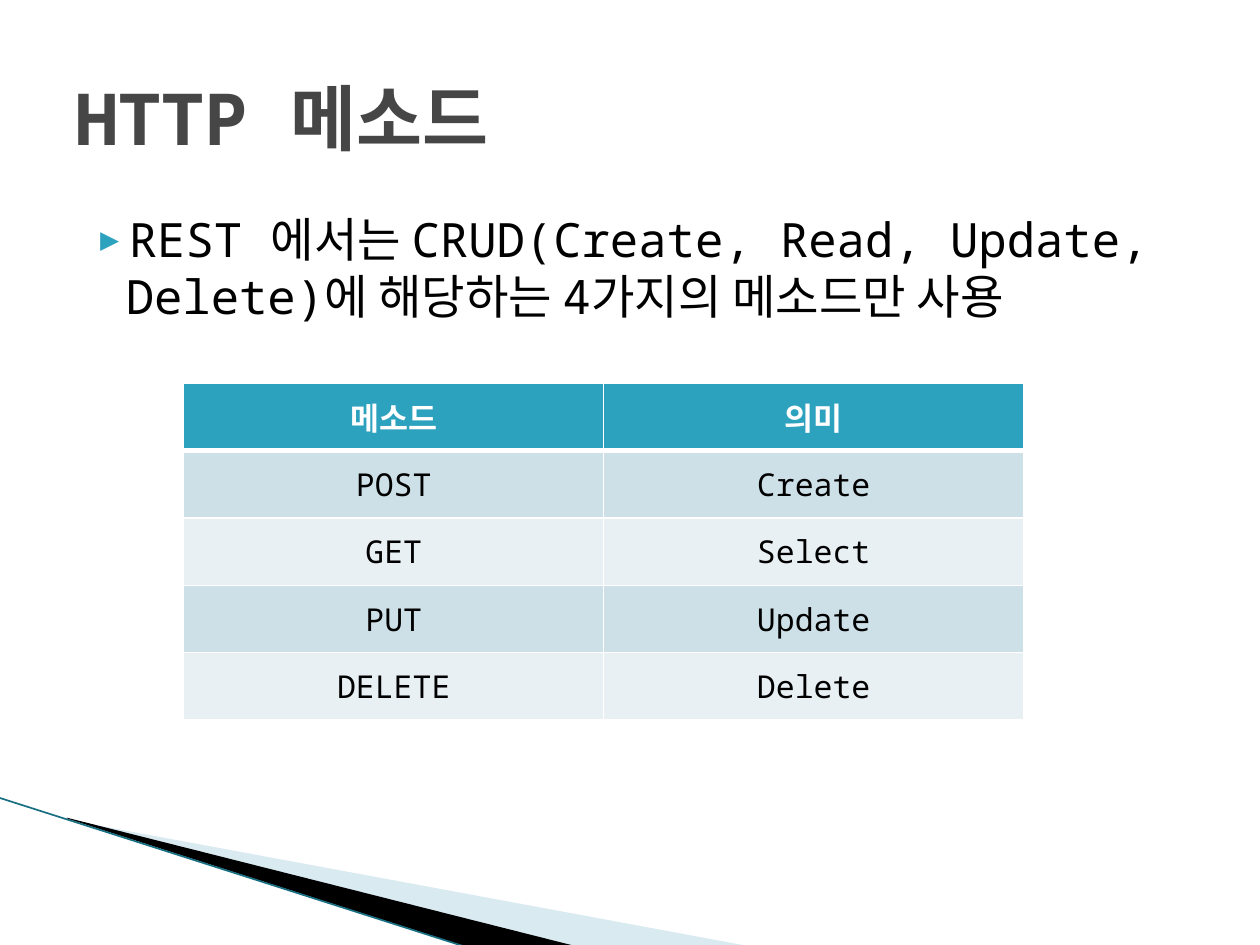
import pptx
import pptx.dml.color
import pptx.enum.shapes
import pptx.enum.text
import pptx.oxml
import pptx.oxml.ns
import pptx.util
from lxml import etree

Pt = pptx.util.Pt
RGB = pptx.dml.color.RGBColor.from_string
qn = pptx.oxml.ns.qn
MIDDLE = pptx.enum.text.MSO_ANCHOR.MIDDLE
CENTER = pptx.enum.text.PP_ALIGN.CENTER

theme = {
    "font": "Noto Sans Mono",
    "title_size": 41, "body_size": 27, "table_size": 18,
    "title": "464646", "text": "000000", "white": "FFFFFF",
    "accent": "2DA2BF", "bands": ["CDE0E8", "E8F0F4"],
    "pale_wedge": "A0CBDC", "dark_wedge": "000000", "edge": "186F82",
}


def write(frame, text, size, color, bold=False):
    frame.word_wrap = True
    paragraph = frame.paragraphs[0]
    paragraph.text = text
    font = paragraph.font
    font.size = Pt(size)
    font.bold = bold
    font.color.rgb = RGB(color)
    font.name = theme["font"]
    return paragraph


def add_border(cell, side, position, width):
    line = etree.Element(qn("a:" + side), w=str(Pt(width)))
    fill = etree.SubElement(line, qn("a:solidFill"))
    etree.SubElement(fill, qn("a:srgbClr"), val=theme["white"])
    cell._tc.get_or_add_tcPr().insert(position, line)


deck = pptx.Presentation()
deck.slide_width, deck.slide_height = Pt(720), Pt(540)
slide = deck.slides.add_slide(deck.slide_layouts[6])
shapes = slide.shapes

wedges = [
    (theme["pale_wedge"], 40, [(39.6, 468.7), (428.4, 540.7), (328.3, 540.7), (39.6, 468)]),
    (theme["dark_wedge"], 100, [(38.2, 467.3), (329, 540.7), (267.8, 541.4), (38.9, 468)]),
]
for color, opacity, points in wedges:
    corners = [(Pt(x), Pt(y)) for x, y in points]
    outline = shapes.build_freeform(*corners[0])
    outline.add_line_segments(corners[1:])
    wedge = outline.convert_to_shape()
    wedge.shadow.inherit = False
    wedge.line.fill.background()
    wedge.fill.solid()
    wedge.fill.fore_color.rgb = RGB(color)
    if opacity < 100:
        tint = wedge._element.spPr.find(".//" + qn("a:srgbClr"))
        etree.SubElement(tint, qn("a:alpha"), val=str(opacity * 1000))

edge = shapes.add_connector(
    pptx.enum.shapes.MSO_CONNECTOR.STRAIGHT, Pt(-0.7), Pt(455.8), Pt(267.1), Pt(541.4))
edge.line.color.rgb = RGB(theme["edge"])
edge.line.width = Pt(0.95)
etree.SubElement(edge._element.spPr, qn("a:effectLst"))

body = shapes.add_textbox(Pt(36), Pt(116.6), Pt(648), Pt(356.4)).text_frame
summary = write(
    body, "REST 에서는 CRUD(Create, Read, Update, Delete)에 해당하는 4가지의 메소드만 사용",
    theme["body_size"], theme["text"])
summary.space_before = Pt(4)
layout = summary._p.pPr
layout.set("marL", str(Pt(28.8)))
layout.set("indent", str(Pt(-20.2)))
bullet_color = etree.Element(qn("a:buClr"))
etree.SubElement(bullet_color, qn("a:srgbClr"), val=theme["accent"])
bullet_size = etree.Element(qn("a:buSzPct"), val="68000")
bullet_font = etree.Element(qn("a:buFont"), typeface=theme["font"])
bullet = etree.Element(qn("a:buChar"), char="▶")
for part in (bullet_color, bullet_size, bullet_font, bullet):
    layout.find(qn("a:defRPr")).addprevious(part)

title = shapes.add_textbox(Pt(36), Pt(21.6), Pt(648), Pt(90)).text_frame
title.vertical_anchor = MIDDLE
write(title, "HTTP 메소드", theme["title_size"], theme["title"], True)

methods = [
    ("메소드", "의미"),
    ("POST", "Create"),
    ("GET", "Select"),
    ("PUT", "Update"),
    ("DELETE", "Delete"),
]
table = shapes.add_table(
    len(methods), 2, Pt(105), Pt(219), Pt(480), Pt(192.5)).table
for row, entries in enumerate(methods):
    header = row == 0
    table.rows[row].height = Pt(38.5)
    for column, text in enumerate(entries):
        cell = table.cell(row, column)
        cell.vertical_anchor = MIDDLE
        cell.fill.solid()
        cell.fill.fore_color.rgb = RGB(
            theme["accent"] if header else theme["bands"][(row - 1) % 2])
        widths = {"lnL": 1, "lnR": 1, "lnT": 3 if row == 1 else 1, "lnB": 3 if header else 1}
        for position, (side, width) in enumerate(widths.items()):
            add_border(cell, side, position, width)
        label = write(cell.text_frame, text, theme["table_size"],
                      theme["white"] if header else theme["text"], header)
        label.alignment = CENTER

deck.save("out.pptx")
